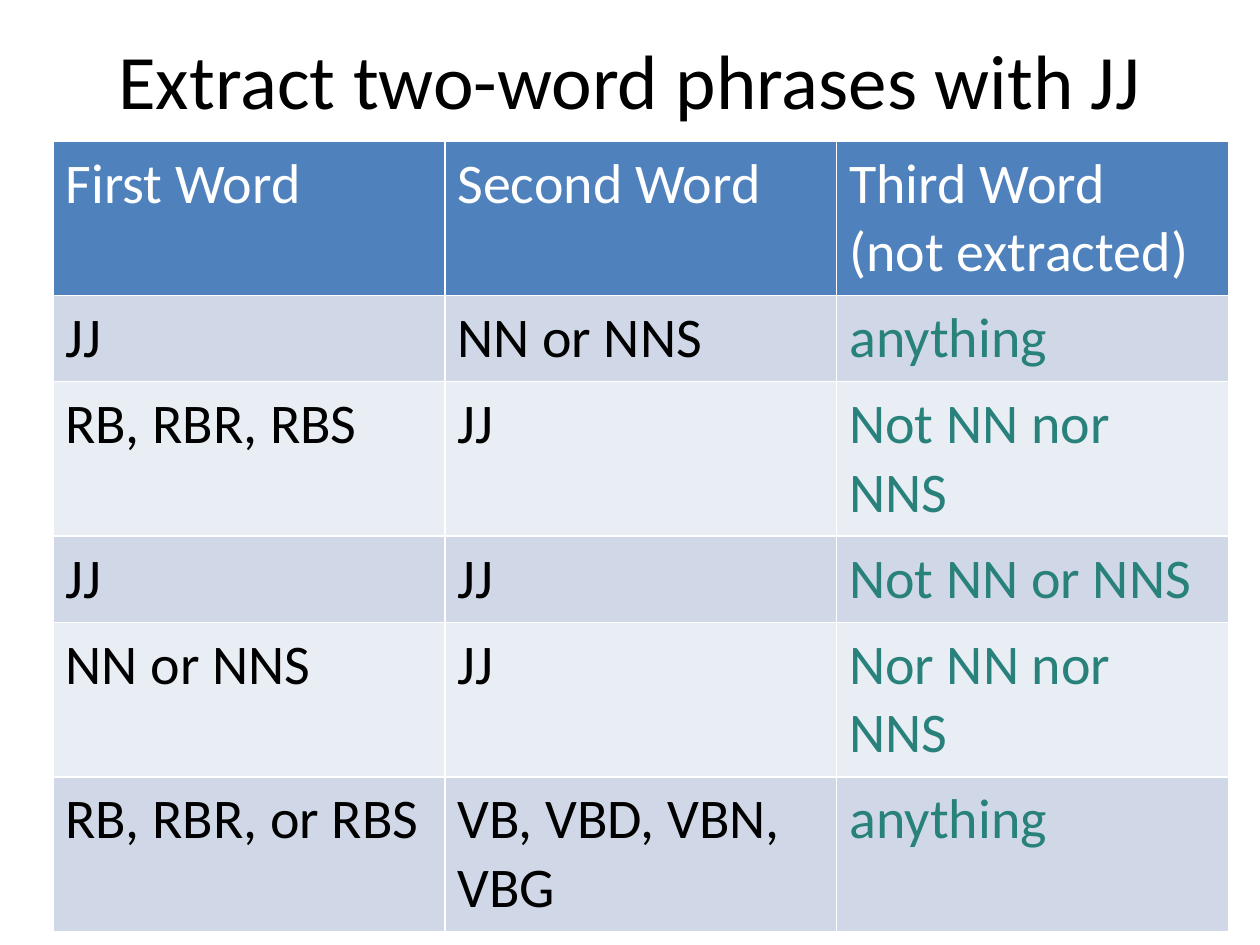
from pptx import Presentation
from pptx.dml.color import RGBColor
from pptx.enum.text import MSO_ANCHOR as Anchor, PP_ALIGN as Align
from pptx.util import Inches, Pt

HEADER_FILL = "4F81BD"
BAND_FILLS = ("D0D8E8", "E9EDF4")
BLACK, WHITE, TEAL = "000000", "FFFFFF", "28817A"

HEADINGS = ("First Word", "Second Word", "Third Word\v(not extracted)")
PATTERNS = (
    ("JJ", "NN or NNS", "anything"),
    ("RB, RBR, RBS", "JJ", "Not NN nor NNS"),
    ("JJ", "JJ", "Not NN or NNS"),
    ("NN or NNS", "JJ", "Nor NN nor NNS"),
    ("RB, RBR, or RBS", "VB, VBD, VBN, VBG", "anything"),
)


def color(value):
    """Turn a hex string into a colour."""
    return RGBColor.from_string(value)


def write_text(frame, text, size=32, fill=BLACK, align=Align.LEFT):
    """Write one formatted paragraph into a text frame."""
    frame.word_wrap = True
    paragraph = frame.paragraphs[0]
    paragraph.text = text
    paragraph.alignment = align
    for run in paragraph.runs:
        run.font.name = "Calibri"
        run.font.size = Pt(size)
        run.font.bold = False
        run.font.color.rgb = color(fill)


def place_title(slide, text, left, top, width, height):
    """Move the title placeholder into its box and fill it."""
    title = slide.shapes.title
    title.left, title.top = Inches(left), Inches(top)
    title.width, title.height = Inches(width), Inches(height)
    title.text_frame.vertical_anchor = Anchor.MIDDLE
    write_text(title.text_frame, text, size=44, align=Align.CENTER)


def fill_row(table, row, texts, fill, text_colors):
    """Write and colour the cells of one table row."""
    for column, (text, text_color) in enumerate(zip(texts, text_colors)):
        cell = table.cell(row, column)
        cell.fill.solid()
        cell.fill.fore_color.rgb = color(fill)
        cell.margin_left = cell.margin_right = Inches(0.1)
        cell.margin_top = cell.margin_bottom = Inches(0.07)
        write_text(cell.text_frame, text, fill=text_color)


def place_pattern_table(slide, left, top, width, height, header_height=1.2):
    """Build the banded table of tag patterns in its box."""
    frame = slide.shapes.add_table(
        len(PATTERNS) + 1, len(HEADINGS),
        Inches(left), Inches(top), Inches(width), Inches(height),
    )
    table = frame.table
    body_height = Inches((height - header_height) / len(PATTERNS))
    table.rows[0].height = Inches(header_height)
    fill_row(table, 0, HEADINGS, HEADER_FILL, (WHITE, WHITE, WHITE))
    for row, texts in enumerate(PATTERNS, start=1):
        table.rows[row].height = body_height
        band = BAND_FILLS[(row - 1) % len(BAND_FILLS)]
        fill_row(table, row, texts, band, (BLACK, BLACK, TEAL))


def main():
    """Build and save the slide."""
    presentation = Presentation()
    presentation.slide_width = Inches(10)
    presentation.slide_height = Inches(7.5)
    slide = presentation.slides.add_slide(presentation.slide_layouts[5])
    slide.background.fill.solid()
    slide.background.fill.fore_color.rgb = color(WHITE)
    place_title(slide, "Extract two-word phrases with JJ", 0.5, 0, 9, 1.25)
    place_pattern_table(slide, 0.42, 1.12, 9.33, 4.55)
    presentation.save("out.pptx")


if __name__ == "__main__":
    main()
